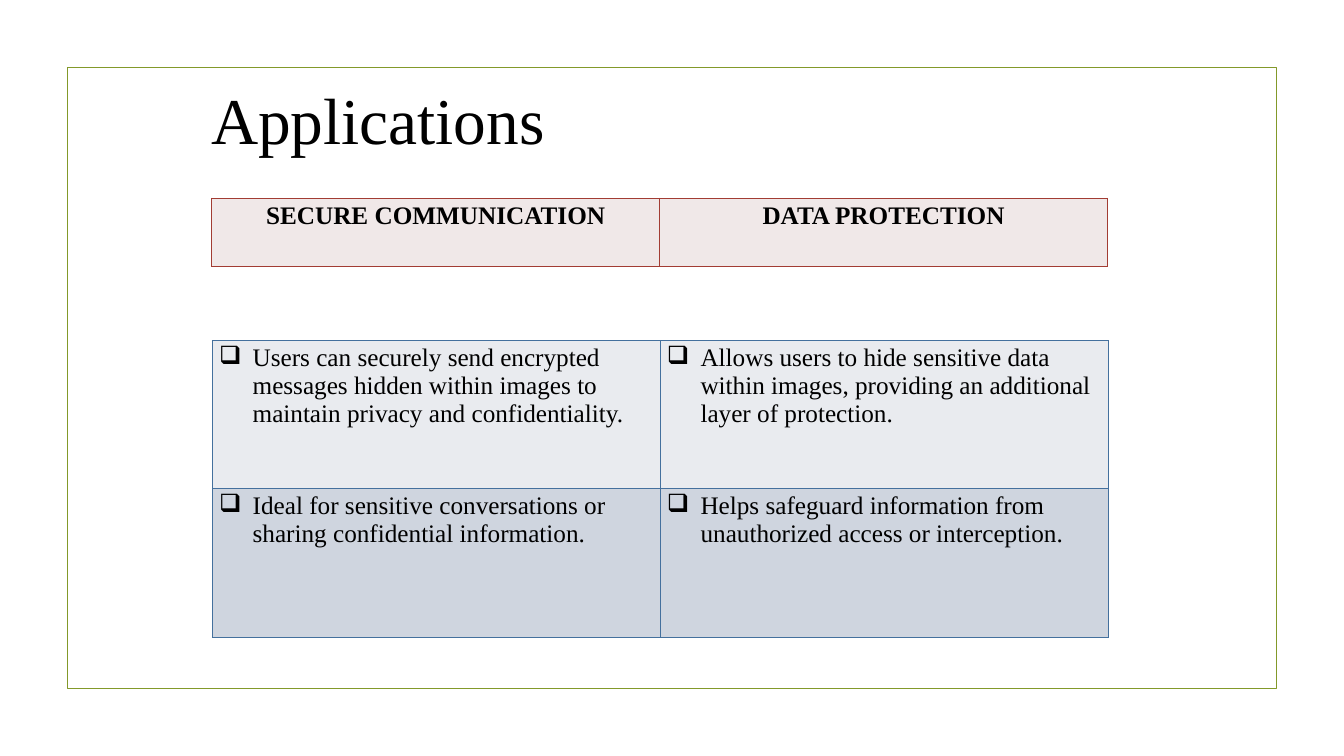
"""Builds the Applications slide: a framed title above two tables."""
from lxml import etree
from pptx import Presentation, util as u
from pptx.dml.color import RGBColor
from pptx.enum import shapes, text
from pptx.oxml import ns

FONT = "Times New Roman"
COLORS = {
    "text": "000000",
    "frame": "83992A",
    "head": "F0E8E8",
    "head_line": "A23C33",
    "light": "E9EBEF",
    "dark": "CFD5DF",
    "body_line": "44709D",
}
HEADS = [["SECURE COMMUNICATION", "DATA PROTECTION"]]
USES = [
    [
        "Users can securely send encrypted messages hidden within images "
        "to maintain privacy and confidentiality.",
        "Allows users to hide sensitive data within images, providing "
        "an additional layer of protection.",
    ],
    [
        "Ideal for sensitive conversations or sharing confidential information.",
        "Helps safeguard information from unauthorized access or interception.",
    ],
]


def color(name):
    return RGBColor.from_string(COLORS[name])


def style(para, size, bold=False):
    font = para.font
    font.name, font.size, font.bold = FONT, u.Pt(size), bold
    font.color.rgb = color("text")


def add_frame(slide):
    box = slide.shapes.add_shape(
        shapes.MSO_SHAPE.RECTANGLE,
        u.Inches(1), u.Inches(1), u.Inches(18), u.Inches(9.25))
    box.shadow.inherit = False
    box.fill.background()
    box.line.color.rgb = color("frame")
    box.line.width = u.Pt(1.25)


def add_title(slide, words):
    box = slide.shapes.add_textbox(
        u.Inches(1.02), u.Inches(0.98), u.Inches(9.21), u.Inches(1.28))
    frame = box.text_frame
    frame.word_wrap = True
    frame.auto_size = text.MSO_AUTO_SIZE.SHAPE_TO_FIT_TEXT
    frame.margin_left = frame.margin_right = 0
    frame.margin_top = frame.margin_bottom = 0
    para = frame.paragraphs[0]
    para.text = words
    para.alignment = text.PP_ALIGN.CENTER
    para.line_spacing = u.Pt(98)
    style(para, 70)


def add_borders(cell, name):
    props = cell._tc.get_or_add_tcPr()
    for side in ("lnL", "lnR", "lnT", "lnB"):
        line = etree.SubElement(props, ns.qn(f"a:{side}"), w=str(u.Pt(1)))
        fill = etree.SubElement(line, ns.qn("a:solidFill"))
        etree.SubElement(fill, ns.qn("a:srgbClr"), val=COLORS[name])


def add_bullet(para):
    props = para._p.get_or_add_pPr()
    props.set("marL", str(u.Inches(0.5)))
    props.set("indent", str(u.Inches(-0.5)))
    bullet = etree.Element(ns.qn("a:buChar"), char="❑")
    props.insert(0, bullet)


def add_grid(slide, rows, left, top, height, fills, line, head=False):
    grid = slide.shapes.add_table(
        len(rows), len(rows[0]), u.Inches(left), u.Inches(top),
        u.Inches(13.33), u.Inches(height)).table
    for r, row in enumerate(rows):
        for c, words in enumerate(row):
            cell = grid.cell(r, c)
            add_borders(cell, line)
            cell.fill.solid()
            cell.fill.fore_color.rgb = color(fills[r])
            para = cell.text_frame.paragraphs[0]
            para.text = words
            style(para, 27, head)
            if head:
                para.alignment = text.PP_ALIGN.CENTER
            else:
                add_bullet(para)


def main():
    deck = Presentation()
    deck.slide_width, deck.slide_height = u.Inches(20), u.Inches(11.25)
    slide = deck.slides.add_slide(deck.slide_layouts[6])
    add_frame(slide)
    add_title(slide, "Applications")
    add_grid(slide, HEADS, 3.15, 2.95, 1.02, ["head"], "head_line", head=True)
    add_grid(slide, USES, 3.16, 5.07, 4.41, ["light", "dark"], "body_line")
    deck.save("out.pptx")


if __name__ == "__main__":
    main()
